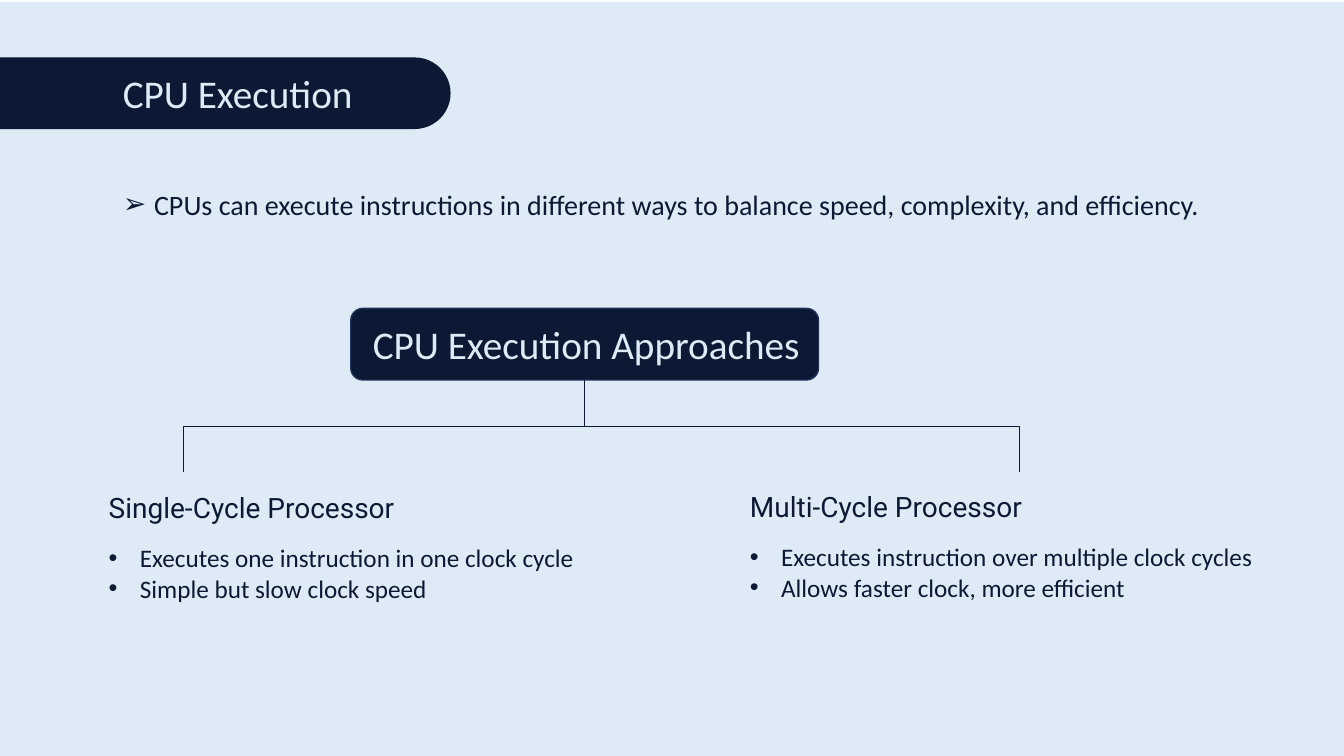
from dataclasses import dataclass

import pptx
import pptx.dml.color
import pptx.enum.shapes
import pptx.util
from pptx.oxml.xmlchemy import OxmlElement

SLIDE_W, SLIDE_H = 13.33, 7.5
NAVY, PALE, EDGE = "0C1935", "DEEBF7", "1E3256"
SHAPE = pptx.enum.shapes.MSO_SHAPE
HANG = pptx.util.Inches(0.31)


@dataclass
class Box:
    """A frame in percent of the slide's width and height."""
    left: float
    top: float
    width: float
    height: float

    def emu(self) -> tuple:
        return x(self.left), y(self.top), x(self.width), y(self.height)


@dataclass
class Line:
    text: str
    size: int
    font: str = "Calibri"
    color: str = NAVY
    bullet: str = ""
    gap_before: int = 0


@dataclass
class Approach:
    box: Box
    name: str
    traits: tuple


def x(percent: float) -> int:
    return pptx.util.Inches(SLIDE_W * percent / 100)


def y(percent: float) -> int:
    return pptx.util.Inches(SLIDE_H * percent / 100)


def rgb(color: str) -> pptx.dml.color.RGBColor:
    return pptx.dml.color.RGBColor.from_string(color)


def add_panel(s, kind, box: Box, fill: str, edge: str = ""):
    sp = s.shapes.add_shape(kind, *box.emu())
    sp.shadow.inherit = False
    sp.fill.solid()
    sp.fill.fore_color.rgb = rgb(fill)
    if edge:
        sp.line.color.rgb = rgb(edge)
        sp.line.width = pptx.util.Pt(1)
    else:
        sp.line.fill.background()
    return sp


def add_bullet(p, char: str) -> None:
    pPr = p._p.get_or_add_pPr()
    pPr.set("marL", str(HANG))
    pPr.set("indent", str(-HANG))
    font = OxmlElement("a:buFont")
    font.set("typeface", "Arial")
    bullet = OxmlElement("a:buChar")
    bullet.set("char", char)
    pPr.extend([font, bullet])


def add_text(s, box: Box, lines: list[Line]) -> None:
    tf = s.shapes.add_textbox(*box.emu()).text_frame
    tf.word_wrap = True
    tf.text = "\n".join(line.text for line in lines)
    for p, line in zip(tf.paragraphs, lines):
        if line.gap_before:
            p.space_before = pptx.util.Pt(line.gap_before)
        if line.bullet:
            add_bullet(p, line.bullet)
        for r in p.runs:
            r.font.name = line.font
            r.font.size = pptx.util.Pt(line.size)
            r.font.color.rgb = rgb(line.color)


def add_line(s, x1: float, y1: float, x2: float, y2: float):
    cxn = s.shapes.add_connector(
        pptx.enum.shapes.MSO_CONNECTOR.STRAIGHT, x(x1), y(y1), x(x2), y(y2))
    cxn.line.color.rgb = rgb(NAVY)
    cxn.line.width = pptx.util.Pt(0.5)
    cxn._element.spPr.append(OxmlElement("a:effectLst"))
    return cxn


def add_tree(s, root, root_box: Box, bus_y: float, end_y: float,
             branches: tuple) -> None:
    """Joins the root to a horizontal bus with one drop per branch."""
    middle = root_box.left + root_box.width / 2
    stem = add_line(s, middle, root_box.top + root_box.height, middle, bus_y)
    stem.begin_connect(root, 2)
    add_line(s, branches[0], bus_y, branches[-1], bus_y)
    for branch in branches:
        add_line(s, branch, bus_y, branch, end_y)


def main() -> None:
    prs = pptx.Presentation()
    prs.slide_width = pptx.util.Inches(SLIDE_W)
    prs.slide_height = pptx.util.Inches(SLIDE_H)
    s = prs.slides.add_slide(prs.slide_layouts[6])

    add_panel(s, SHAPE.RECTANGLE, Box(0, 0.25, 100, 99.75), PALE)

    root_box = Box(26.1, 40.8, 34.8, 9.47)
    root = add_panel(s, SHAPE.ROUNDED_RECTANGLE, root_box, NAVY, EDGE)
    add_text(s, Box(27, 41.73, 33.7, 7.6),
             [Line("CPU Execution Approaches", 28, color=PALE)])
    add_tree(s, root, root_box, 56.4, 62.4, (13.65, 75.84))

    approaches = [
        Approach(Box(7.35, 64.27, 36.53, 20.4), "Single-Cycle Processor",
                 ("Executes one instruction in one clock cycle",
                  "Simple but slow clock speed")),
        Approach(Box(55.06, 64.13, 39.4, 20.4), "Multi-Cycle Processor",
                 ("Executes instruction over multiple clock cycles",
                  "Allows faster clock, more efficient")),
    ]
    for approach in approaches:
        traits = [Line(trait, 18, bullet="•") for trait in approach.traits]
        traits[0].gap_before = 13
        add_text(s, approach.box,
                 [Line(approach.name, 20, font="Roboto"), *traits])

    add_text(s, Box(8.4, 24.13, 82.5, 5.87),
             [Line("CPUs can execute instructions in different ways to balance "
                   "speed, complexity, and efficiency.", 20, bullet="➢")])

    pill = add_panel(s, SHAPE.ROUNDED_RECTANGLE, Box(-3, 7.6, 36.53, 9.47), NAVY)
    pill.adjustments[0] = 0.5
    add_text(s, Box(8.4, 8.53, 19.5, 7.6),
             [Line("CPU Execution", 28, color=PALE)])

    prs.save("out.pptx")


if __name__ == "__main__":
    main()
